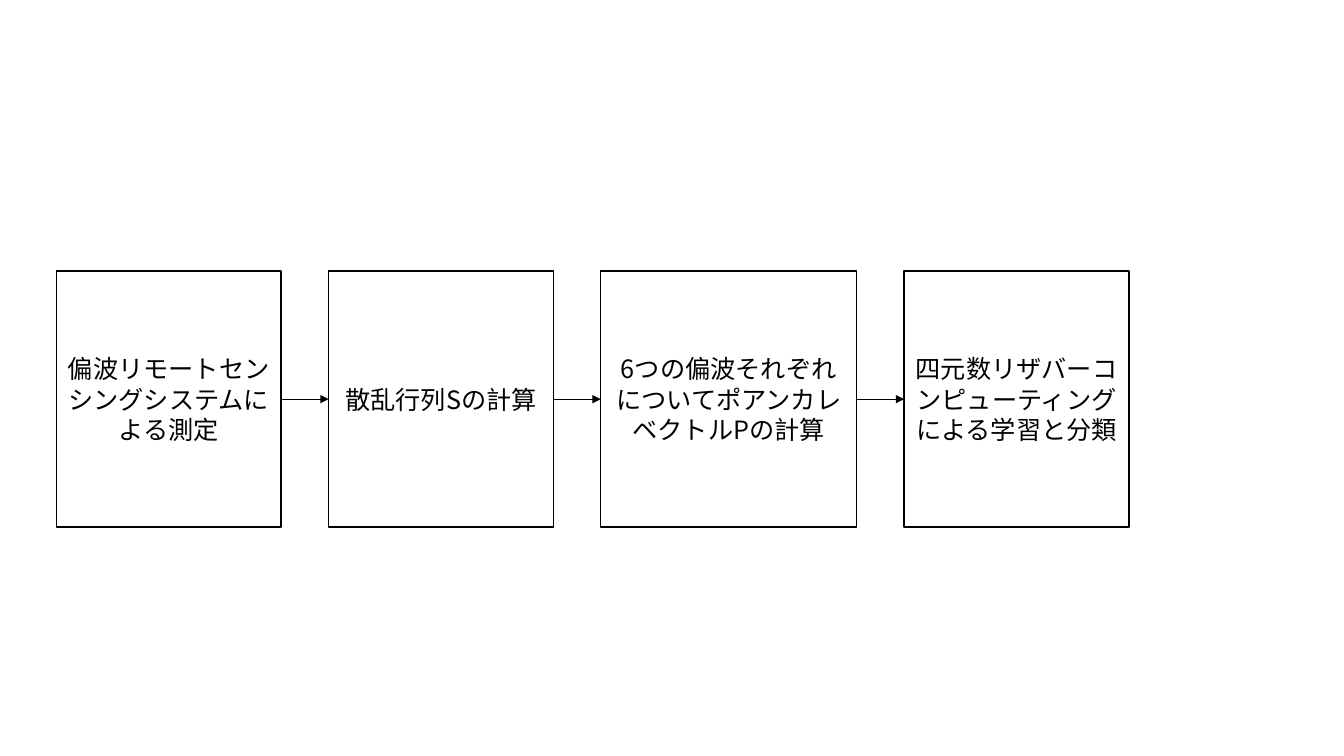
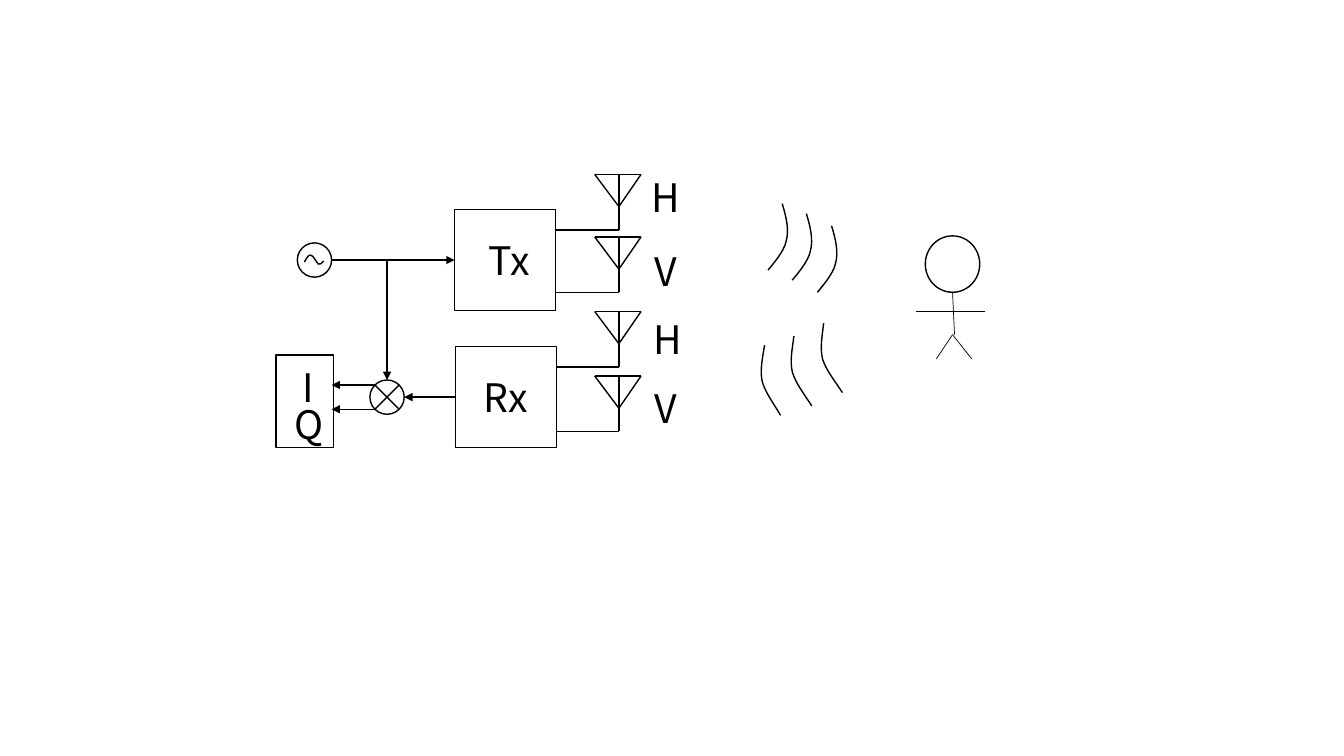
from lxml import etree
from pptx import Presentation
from pptx.dml.color import RGBColor
from pptx.enum.shapes import MSO_CONNECTOR, MSO_SHAPE
from pptx.enum.text import MSO_ANCHOR, MSO_AUTO_SIZE, PP_ALIGN
from pptx.oxml.ns import qn
from pptx.util import Inches, Pt

BLACK = RGBColor(0, 0, 0)
WHITE = RGBColor(255, 255, 255)
FONT = "Noto Sans CJK JP"
PROCESS = MSO_SHAPE.FLOWCHART_PROCESS
RECTANGLE = MSO_SHAPE.RECTANGLE
OVAL = MSO_SHAPE.OVAL
STRAIGHT = MSO_CONNECTOR.STRAIGHT
CENTER = PP_ALIGN.CENTER
MIDDLE = MSO_ANCHOR.MIDDLE
GROW = MSO_AUTO_SIZE.SHAPE_TO_FIT_TEXT
BLANK_LAYOUT = 6

# Each curve is a start point, then three points per Bezier segment
SINE = [(0, 0.07), (0.02, 0.03), (0.04, 0), (0.06, 0), (0.09, 0), (0.12, 0.08),
        (0.14, 0.09), (0.16, 0.1), (0.17, 0.08), (0.19, 0.06)]
OUTGOING_WAVE = [(0.14, 0), (0.18, 0.13), (0.21, 0.26), (0.18, 0.37),
                 (0.16, 0.48), (0.03, 0.62), (0, 0.66)]
RETURNING_WAVE = [(0.06, 0), (0.03, 0.12), (-0.01, 0.23), (0, 0.35),
                  (0.02, 0.47), (0.09, 0.58), (0.15, 0.71)]


# Shared drawing helpers
def set_text(frame, text, size):
    frame.word_wrap = True
    paragraph = frame.paragraphs[0]
    paragraph.text = text
    paragraph.font.size = Pt(size)
    paragraph.font.color.rgb = BLACK
    paragraph.font.name = FONT
    default_font = paragraph._p.pPr.find(qn("a:defRPr"))
    etree.SubElement(default_font, qn("a:ea")).set("typeface", FONT)
    return paragraph


def set_outline(shape, width=1):
    shape.line.color.rgb = BLACK
    shape.line.width = Pt(width)


def add_block(slide, kind, left, top, width, height, text="", size=28):
    shape = slide.shapes.add_shape(kind, Inches(left), Inches(top),
                                   Inches(width), Inches(height))
    shape.shadow.inherit = False
    shape.fill.solid()
    shape.fill.fore_color.rgb = WHITE
    set_outline(shape)
    if text:
        shape.text_frame.vertical_anchor = MIDDLE
        set_text(shape.text_frame, text, size).alignment = CENTER


def add_line(slide, start, end, width=1, arrow=False):
    connector = slide.shapes.add_connector(
        STRAIGHT, *(Inches(value) for value in (*start, *end)))
    set_outline(connector, width)
    properties = connector._element.spPr
    if arrow:
        outline = properties.find(qn("a:ln"))
        etree.SubElement(outline, qn("a:tailEnd")).set("type", "triangle")
    etree.SubElement(properties, qn("a:effectLst"))


def add_label(slide, left, top, width, text, height=0.57):
    box = slide.shapes.add_textbox(Inches(left), Inches(top), Inches(width), Inches(height))
    set_text(box.text_frame, text, 28)
    box.text_frame.auto_size = GROW


def add_curve(slide, left, top, points, rotation=0):
    points = [(Inches(left + x), Inches(top + y)) for x, y in points]
    builder = slide.shapes.build_freeform(*points[0])
    builder.add_line_segments(points[3::3], close=False)
    curve = builder.convert_to_shape()
    # Turn each straight segment into a Bezier segment
    for index, segment in enumerate(list(curve._element.iter(qn("a:lnTo")))):
        bezier = etree.Element(qn("a:cubicBezTo"))
        for x, y in points[3 * index + 1:3 * index + 4]:
            point = etree.SubElement(bezier, qn("a:pt"))
            point.set("x", str(x - curve.left))
            point.set("y", str(y - curve.top))
        segment.getparent().replace(segment, bezier)
    curve.rotation = rotation
    curve.shadow.inherit = False
    curve.fill.background()
    set_outline(curve)


# Slide 1: processing steps
def add_process_flow(slide, left, top, height, gap, steps):
    middle = top + height / 2
    for index, (text, width) in enumerate(steps):
        if index:
            add_line(slide, (left - gap, middle), (left, middle), 0.5, arrow=True)
        add_block(slide, PROCESS, left, top, width, height, text, 18)
        left += width + gap


# Slide 2: parts of the measuring system
def add_antenna(slide, left, top, feed_left):
    width, depth, mast = 0.46, 0.32, 0.55
    center = left + 0.24
    tip = (center, top + depth)
    add_line(slide, tip, (left, top))
    add_line(slide, tip, (left + width, top))
    add_line(slide, (left + width, top), (left, top))
    add_line(slide, (center, top), (center, top + mast))
    add_line(slide, (feed_left, top + mast), (center, top + mast))


def add_radio(slide, left, top, text, antenna_tops):
    size = 1
    add_block(slide, RECTANGLE, left, top, size, size, text)
    for antenna_top in antenna_tops:
        add_antenna(slide, 5.9, antenna_top, 5.52)


def add_oscillator(slide, left, top, size):
    add_block(slide, OVAL, left, top, size, size)
    add_curve(slide, left + 0.07, top + 0.12, SINE)


def add_mixer(slide, left, top, size, output_left):
    add_block(slide, OVAL, left, top, size, size)
    near, far = 0.05, size - 0.05
    add_line(slide, (left + far, top + near), (left + near, top + far))
    add_line(slide, (left + near, top + near), (left + far, top + far))
    for offset in (near, far):
        add_line(slide, (left + near, top + offset), (output_left, top + offset), arrow=True)


def add_output(slide, left, top, width, height):
    add_block(slide, RECTANGLE, left, top, width, height)
    add_label(slide, left + 0.16, top + 0.04, 0.28, "I")
    add_label(slide, left + 0.08, top + 0.4, 0.39, "Q")


def add_person(slide, left, top, width):
    center, neck, hip = left + 0.36, top + 0.56, top + 0.98
    add_block(slide, OVAL, left + 0.09, top, 0.54, 0.56)
    limbs = [((left, top + 0.75), (left + width, top + 0.75)),
             ((center, neck), (center + 0.02, hip)),
             ((center, hip), (center - 0.16, hip + 0.24)),
             ((center, hip), (center + 0.19, hip + 0.24))]
    for start, end in limbs:
        add_line(slide, start, end, 0.5)


def build_flow_slide(slide):
    steps = [("偏波リモートセンシングシステムによる測定", 2.23),
             ("散乱行列Sの計算", 2.23),
             ("6つの偏波それぞれについてポアンカレベクトルPの計算", 2.54),
             ("四元数リザバーコンピューティングによる学習と分類", 2.23)]
    add_process_flow(slide, 0.56, 2.69, 2.54, 0.47, steps)


def build_system_slide(slide):
    # Outputs and signal source
    add_output(slide, 2.74, 3.52, 0.57, 0.92)
    add_oscillator(slide, 2.95, 2.41, 0.34)
    # Transmitter, receiver and their antennas
    add_radio(slide, 4.51, 2.08, " Tx", (1.73, 2.35))
    add_radio(slide, 4.52, 3.44, "Rx", (3.09, 3.73))
    add_label(slide, 6.37, 1.2, 0.46, " H", 1.04)
    add_label(slide, 6.39, 2.4, 0.36, "V")
    add_label(slide, 6.38, 3.08, 0.39, "H")
    add_label(slide, 6.4, 3.76, 0.36, "V")
    # Waves
    for left, top in [(7.62, 2.02), (7.86, 2.12), (8.11, 2.24)]:
        add_curve(slide, left, top, OUTGOING_WAVE)
    for left, top, rotation in [(7.56, 3.42, 354.4), (7.86, 3.33, 352.9), (8.16, 3.2, 352.1)]:
        add_curve(slide, left, top, RETURNING_WAVE, rotation)
    # Mixer and signal arrows
    add_mixer(slide, 3.67, 3.77, 0.34, 3.29)
    for start, end in [((3.29, 2.58), (4.51, 2.58)),
                       ((3.84, 2.59), (3.84, 3.77)),
                       ((4.52, 3.94), (4.01, 3.94))]:
        add_line(slide, start, end, arrow=True)
    # Target
    add_person(slide, 9.09, 2.34, 0.68)


presentation = Presentation()
presentation.slide_width = Inches(40 / 3)
presentation.slide_height = Inches(7.5)
for build_slide in (build_flow_slide, build_system_slide):
    build_slide(presentation.slides.add_slide(presentation.slide_layouts[BLANK_LAYOUT]))
presentation.save("out.pptx")
